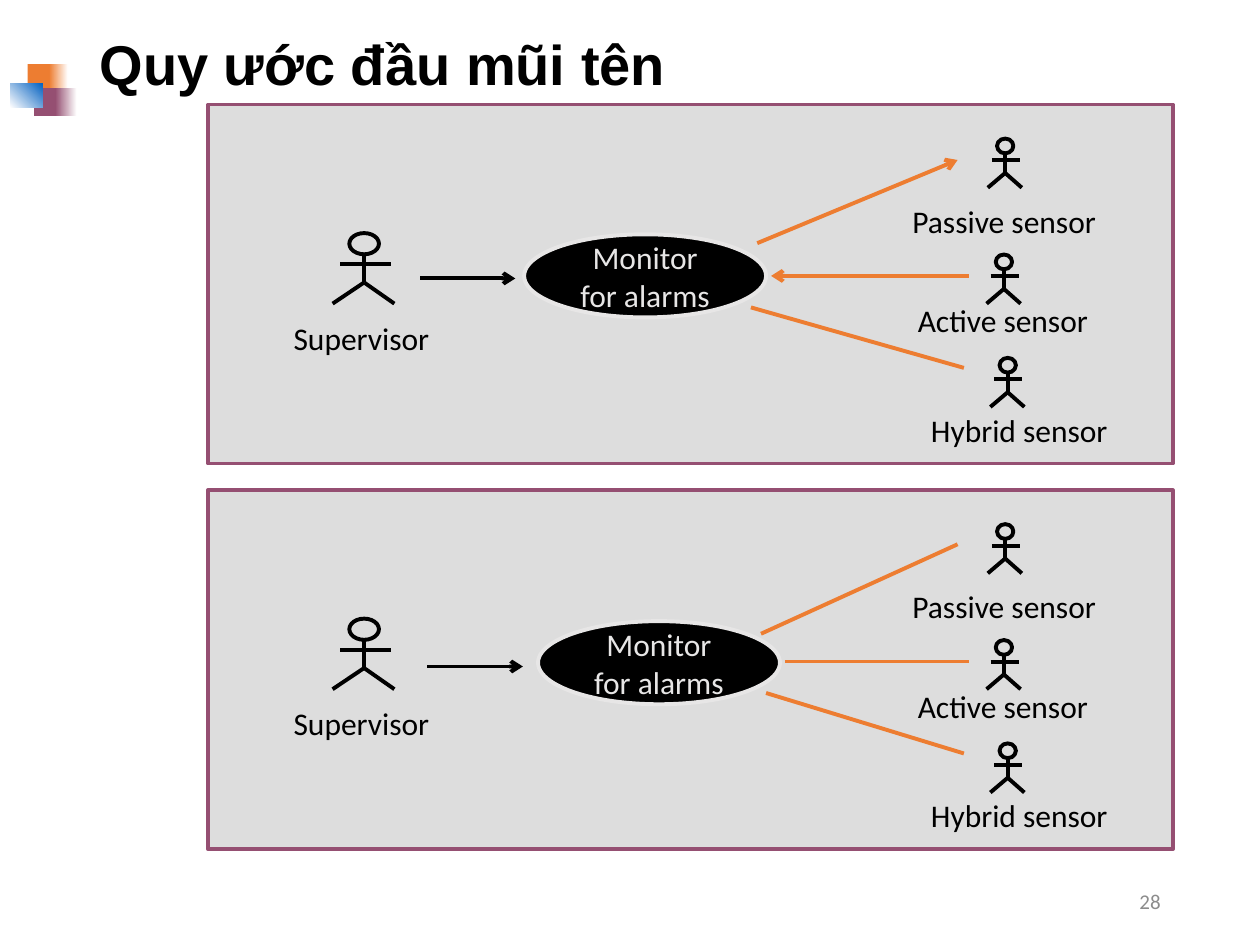
import pptx
import pptx.util
import pptx.dml.color
import pptx.enum.shapes
import pptx.enum.text
import pptx.oxml
import pptx.oxml.ns
from lxml import etree

Inches, Pt = pptx.util.Inches, pptx.util.Pt
SHAPE = pptx.enum.shapes.MSO_SHAPE
ALIGN = pptx.enum.text.PP_ALIGN
MIDDLE = pptx.enum.text.MSO_ANCHOR.MIDDLE
COLORS = {"black": "000000", "white": "FFFFFF", "panel": "DDDDDD", "plum": "954F72",
          "orange": "ED7D31", "blue": "0563C1", "pale": "E7E6E6", "grey": "8C8C8C"}


def rgb(name):
    return pptx.dml.color.RGBColor.from_string(COLORS[name])


def assign(item, values):
    for name, value in values.items():
        setattr(item, name, value)


def write(frame, text, size=18, color="black", font="Calibri", bold=False,
          pad=(0.09, 0.04), **para):
    """Put one formatted paragraph in a text frame; para holds paragraph values."""
    x, y = map(Inches, pad)
    assign(frame, {"text": text, "word_wrap": True, "margin_left": x, "margin_right": x,
                   "margin_top": y, "margin_bottom": y})
    line = frame.paragraphs[0]
    assign(line, para)
    assign(line.runs[0].font, {"name": font, "size": Pt(size), "bold": bold})
    line.runs[0].font.color.rgb = rgb(color)


def label(shapes, box, text, **style):
    area = shapes.add_textbox(*map(Inches, box))
    write(area.text_frame, text, **style)
    return area


def block(shapes, kind, box, fill=None, line=None, width=2.25):
    item = shapes.add_shape(kind, *map(Inches, box))
    item.shadow.inherit = False
    if fill:
        item.fill.solid()
        item.fill.fore_color.rgb = rgb(fill)
    else:
        item.fill.background()
    if line:
        item.line.color.rgb = rgb(line)
        item.line.width = Pt(width)
    else:
        item.line.fill.background()
    return item


def stroke(shapes, start, end, color="black", arrow=False):
    """Draw a line, with an arrowhead at its start if asked."""
    kind = pptx.enum.shapes.MSO_CONNECTOR.STRAIGHT
    link = shapes.add_connector(kind, *map(Inches, (*start, *end)))
    link.line.color.rgb = rgb(color)
    link.line.width = Pt(2.25)
    qn = pptx.oxml.ns.qn
    if arrow:
        etree.SubElement(link.line._get_or_add_ln(), qn("a:headEnd"), type="arrow")
    etree.SubElement(link._element.spPr, qn("a:effectLst"))


def actor(shapes, left, top, width, height):
    """Draw a stick figure that fills the given box."""
    def at(x, y):
        return left + x * width, top + y * height

    block(shapes, SHAPE.OVAL, (*at(0.27, 0), 0.48 * width, 0.3 * height), line="black")
    hip = (0.51, 0.7)
    for start, end in [((0.51, 0.3), hip), ((0.12, 0.44), (0.94, 0.44)),
                       ((1, 1), hip), ((0, 1), hip)]:
        stroke(shapes, at(*start), at(*end))


def panel(slide, left, top, case, call, links):
    """Draw a use case with its actors; call and links give (start, end, arrow)."""
    shapes = slide.shapes.add_group_shape().shapes
    block(shapes, SHAPE.RECTANGLE, (left, top, 7.66, 2.85), "panel", "plum", 2)

    def at(x, y):
        return left + x, top + y

    actor(shapes, *at(0.99, 1.02), 0.49, 0.56)
    label(shapes, (*at(0.59, 1.66), 1.36, 0.39), "Supervisor")
    for name, x, y, mid, low in [("Passive", 6.19, 0.27, 6.32, 0.73),
                                 ("Active", 6.18, 1.19, 6.31, 1.52),
                                 ("Hybrid", 6.21, 2.01, 6.44, 2.39)]:
        actor(shapes, *at(x, y), 0.27, 0.39)
        label(shapes, (*at(mid - 0.95, low), 1.9, 0.39), name + " sensor",
              alignment=ALIGN.CENTER)
    for start, end, arrow in links:
        stroke(shapes, at(*start), at(*end), "orange", arrow)
    stroke(shapes, at(*call[0]), at(*call[1]), arrow=call[2])
    oval = block(shapes, SHAPE.OVAL, (*at(*case), 1.92, 0.66), "black", "pale")
    write(oval.text_frame, "Monitor for alarms", color="pale", pad=(0.12, 0.06),
          alignment=ALIGN.CENTER, space_before=Pt(10))
    oval.text_frame.vertical_anchor = MIDDLE


def motif(slide, left, top):
    """Draw the overlapping coloured tiles beside the title."""
    shapes = slide.shapes.add_group_shape().shapes
    for x, y, wide, high, first, last, angle in [
            (0.14, 0, 0.2, 0.22, "orange", None, 0),
            (0.31, 0, 0.15, 0.22, "orange", "white", 0),
            (0.19, 0.19, 0.19, 0.22, "plum", None, 0),
            (0.36, 0.19, 0.17, 0.22, "plum", "white", 0),
            (0, 0.15, 0.26, 0.19, "white", "blue", 45)]:
        tile = block(shapes, SHAPE.RECTANGLE, (left + x, top + y, wide, high), first)
        if last:
            tile.fill.gradient()
            tile.fill.gradient_angle = angle
            for stop, color in zip(tile.fill.gradient_stops, (first, last)):
                stop.color.rgb = rgb(color)


def heading(slide, left, top, width, height):
    title = slide.shapes.title
    assign(title, {"left": Inches(left), "top": Inches(top),
                   "width": Inches(width), "height": Inches(height)})
    write(title.text_frame, "Quy ước đầu mũi tên", 32, font="Arial", bold=True,
          pad=(0.1, 0.05), alignment=ALIGN.LEFT, line_spacing=0.9)
    title.text_frame.vertical_anchor = MIDDLE


def main():
    deck = pptx.Presentation()
    assign(deck, {"slide_width": Inches(10), "slide_height": Inches(7.5)})
    slide = deck.slides.add_slide(deck.slide_layouts[5])
    motif(slide, 0.08, 0.51)
    heading(slide, 0.69, 0.13, 8.62, 0.81)
    panel(slide, 1.65, 0.83, (2.51, 1.03), ((2.44, 1.38), (1.68, 1.38), True),
          [((4.47, 1.36), (6.04, 1.36), True),
           ((5.95, 0.44), (4.36, 1.1), True),
           ((6, 2.09), (4.31, 1.61), False)])
    panel(slide, 1.65, 3.89, (2.62, 1.04), ((2.5, 1.4), (1.74, 1.4), True),
          [((4.58, 1.36), (6.04, 1.36), False),
           ((5.95, 0.43), (4.39, 1.14), False),
           ((6, 2.09), (4.43, 1.61), False)])
    number = label(slide.shapes, (7.06, 6.95, 2.25, 0.4), "28", size=12, color="grey",
                   pad=(0.1, 0.05), alignment=ALIGN.RIGHT)
    number.text_frame.vertical_anchor = MIDDLE
    deck.save("out.pptx")


if __name__ == "__main__":
    main()
